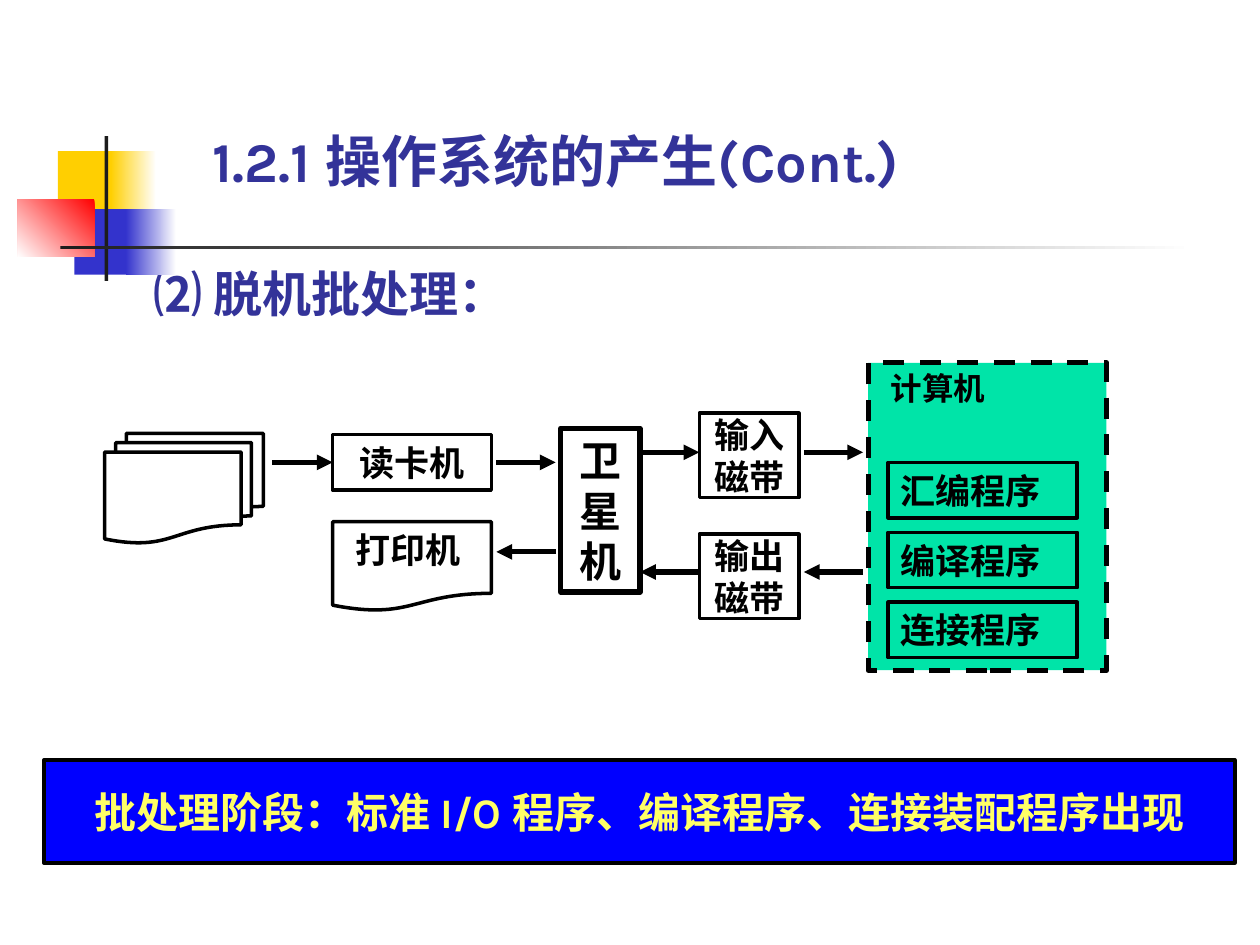
from lxml.etree import SubElement
from pptx import Presentation
from pptx.dml.color import RGBColor
from pptx.enum.dml import MSO_LINE
from pptx.enum.shapes import MSO_CONNECTOR, MSO_SHAPE
from pptx.enum.text import MSO_ANCHOR, MSO_AUTO_SIZE, PP_ALIGN
from pptx.oxml.ns import qn
from pptx.util import Inches, Pt

COLORS = {
    "yellow": "FFCF01", "blue": "3333CC", "red": "FF0000", "white": "FFFFFF",
    "charcoal": "1C1C1C", "black": "000000", "heading": "333399",
    "banner": "0000FF", "banner_text": "FFFF66", "computer": "00E4A8",
}


def rgb(name):
    return RGBColor.from_string(COLORS[name])


class SlideBuilder:
    font_name = "Karla"

    def __init__(self, slide):
        self.slide = slide

    def set_text(self, shape, text, size=20, color="black", align=PP_ALIGN.LEFT,
                 insets=(0.1, 0.05)):
        frame = shape.text_frame
        across, down = (Inches(inset) for inset in insets)
        frame_format = {
            "word_wrap": True, "auto_size": MSO_AUTO_SIZE.NONE,
            "vertical_anchor": MSO_ANCHOR.MIDDLE, "margin_left": across,
            "margin_right": across, "margin_top": down, "margin_bottom": down,
        }
        for name, value in frame_format.items():
            setattr(frame, name, value)
        frame.text = text
        paragraph = frame.paragraphs[0]
        paragraph.alignment = align
        paragraph.space_before = Pt(0)
        font = paragraph.runs[0].font
        font_format = {"name": self.font_name, "size": Pt(size), "bold": True}
        for name, value in font_format.items():
            setattr(font, name, value)
        font.color.rgb = rgb(color)
        return paragraph

    def placeholder(self, index, box, text, size):
        shape = self.slide.placeholders[index]
        for name, value in zip(("left", "top", "width", "height"), box):
            setattr(shape, name, Inches(value))
        return self.set_text(shape, text, size, "heading", insets=(0, 0))

    def shape(self, box, kind=MSO_SHAPE.RECTANGLE, fill=None, line=None,
              dash=None):
        """Draw a preset shape; line is a width in points."""
        shape = self.slide.shapes.add_shape(kind, *map(Inches, box))
        shape.shadow.inherit = False
        if fill:
            shape.fill.solid()
            shape.fill.fore_color.rgb = rgb(fill)
        else:
            shape.fill.background()
        if line:
            shape.line.color.rgb = rgb("black")
            shape.line.width = Pt(line)
            shape.line.dash_style = dash
        else:
            shape.line.fill.background()
        return shape

    def gradient(self, box, start, end, angle=0):
        fill = self.shape(box).fill
        fill.gradient()
        fill.gradient_angle = angle
        for stop, color, position in zip(fill.gradient_stops, (start, end), (0, 1)):
            stop.color.rgb = rgb(color)
            stop.position = position

    def label(self, box, text, **style):
        shape = self.slide.shapes.add_textbox(*map(Inches, box))
        self.set_text(shape, text, **style)

    def arrow(self, start_x, end_x, y):
        connector = self.slide.shapes.add_connector(
            MSO_CONNECTOR.STRAIGHT, *map(Inches, (start_x, y, end_x, y)))
        connector.line.color.rgb = rgb("black")
        connector.line.width = Pt(3)
        properties = connector._element.spPr
        SubElement(properties.find(qn("a:ln")), qn("a:tailEnd"), type="triangle")
        SubElement(properties, qn("a:effectLst"))


def draw_decoration(builder):
    builder.shape((0.46, 1.2, 0.48, 0.52), fill="yellow")
    builder.gradient((0.88, 1.2, 0.36, 0.52), "yellow", "white")
    builder.shape((0.59, 1.66, 0.46, 0.52), fill="blue")
    builder.gradient((1, 1.66, 0.4, 0.52), "blue", "white")
    builder.gradient((0.14, 1.58, 0.61, 0.46), "red", "white", 225)
    builder.shape((0.83, 1.08, 0.03, 1.15), fill="charcoal")
    builder.gradient((0.48, 1.95, 9, 0.03), "charcoal", "white")


def draw_headings(builder):
    builder.placeholder(0, (1.69, 1.01, 6.38, 0.53), "1.2.1 操作系统的产生(Cont.)", 32)
    paragraph = builder.placeholder(1, (1.22, 2.18, 3.7, 0.37), "⑵ 脱机批处理：", 28)
    paragraph.line_spacing = 0.8
    properties = paragraph._p.get_or_add_pPr()
    properties.set("marL", "0")
    properties.set("indent", "0")
    SubElement(properties, qn("a:buNone"))


def draw_peripherals(builder):
    builder.shape((0.83, 3.44, 1.26, 0.87), MSO_SHAPE.FLOWCHART_MULTIDOCUMENT,
                  fill="white", line=2)
    reader = builder.shape((2.64, 3.45, 1.26, 0.44), line=2)
    builder.set_text(reader, "读卡机", align=PP_ALIGN.CENTER)
    builder.shape((2.64, 4.14, 1.26, 0.71), MSO_SHAPE.FLOWCHART_DOCUMENT, line=2)
    builder.label((2.72, 4.14, 1.18, 0.44), "打印机")
    satellite = builder.shape((4.45, 3.4, 0.63, 1.3), line=3)
    builder.set_text(satellite, "卫星机", 24, align=PP_ALIGN.CENTER)
    for top, text in ((3.28, "输入磁带"), (4.24, "输出磁带")):
        tape = builder.shape((5.55, top, 0.79, 0.67), line=2)
        builder.set_text(tape, text, align=PP_ALIGN.CENTER, insets=(0, 0))


def draw_computer(builder):
    builder.shape((6.89, 2.88, 1.89, 2.44), fill="computer", line=3,
                  dash=MSO_LINE.DASH)
    builder.label((6.97, 2.88, 1.1, 0.4), "计算机", size=18)
    for row, text in enumerate(("汇编程序", "编译程序", "连接程序")):
        program = builder.shape((7.05, 3.67 + 0.555 * row, 1.5, 0.44), line=2)
        builder.set_text(program, text)


def draw_arrows(builder):
    builder.arrow(2.16, 2.64, 3.67)
    for left, right, input_y, output_y in (
            (3.94, 4.41, 3.67, 4.38),
            (5.08, 5.55, 3.59, 4.54),
            (6.38, 6.85, 3.59, 4.54)):
        builder.arrow(left, right, input_y)
        builder.arrow(right, left, output_y)


def main():
    presentation = Presentation()
    presentation.slide_width = Inches(10)
    presentation.slide_height = Inches(7.5)
    layout = presentation.slide_layouts[1]
    builder = SlideBuilder(presentation.slides.add_slide(layout))
    draw_decoration(builder)
    draw_headings(builder)
    banner = builder.shape((0.35, 6.03, 9.45, 0.82), fill="banner", line=2)
    builder.set_text(banner, "批处理阶段：标准 I/O 程序、编译程序、连接装配程序出现",
                     24, "banner_text", PP_ALIGN.CENTER)
    draw_computer(builder)
    draw_peripherals(builder)
    draw_arrows(builder)
    presentation.save("out.pptx")


if __name__ == "__main__":
    main()
